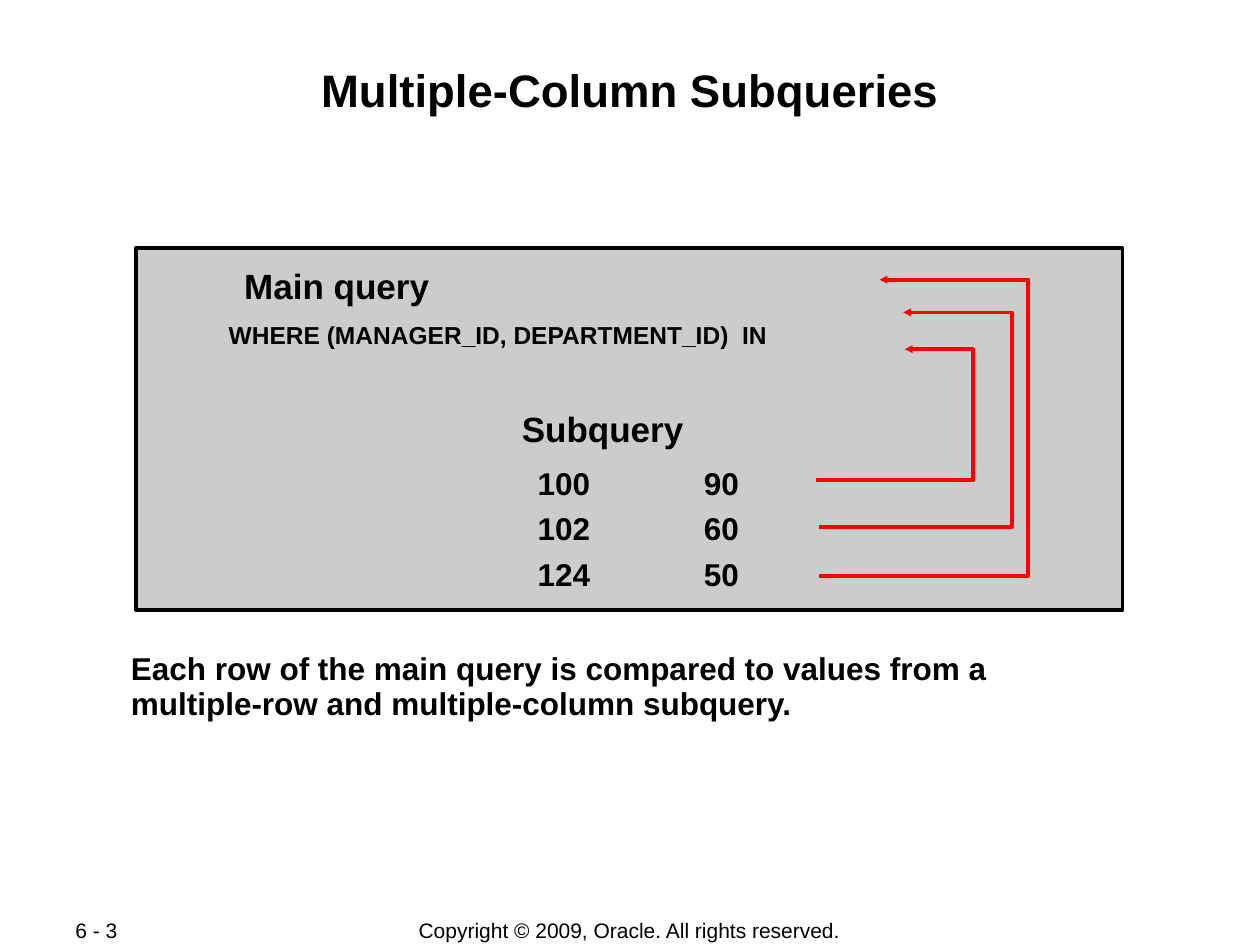
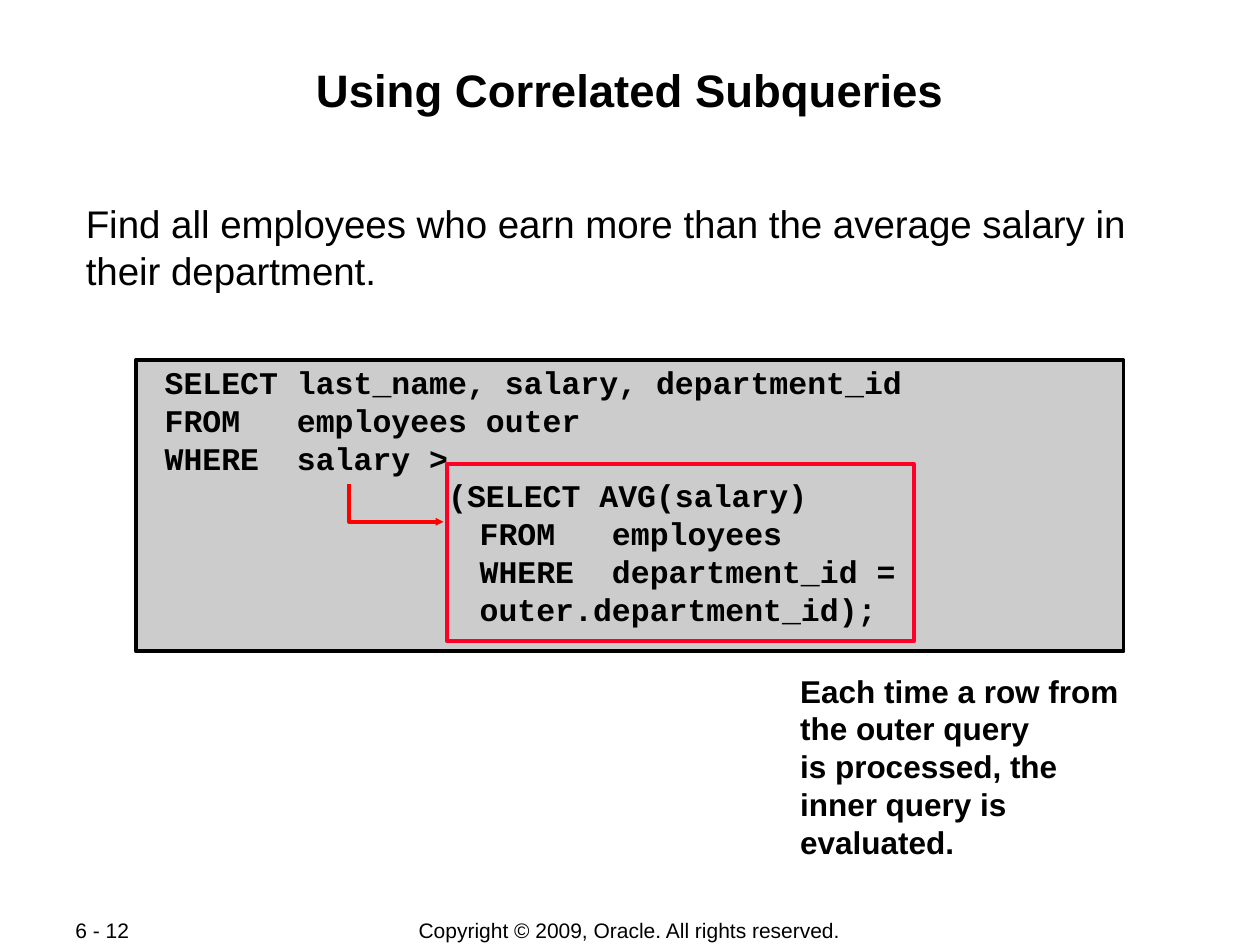
"""Build two slides on multiple-column and correlated subqueries."""
from lxml.etree import SubElement
from pptx import Presentation
from pptx.dml.color import RGBColor
from pptx.enum.shapes import MSO_SHAPE
from pptx.enum.text import MSO_ANCHOR, MSO_AUTO_SIZE, PP_ALIGN
from pptx.oxml.ns import qn
from pptx.util import Cm, Pt

BLACK, GREY, RED, CRIMSON = "000000", "CCCCCC", "FF0000", "FC0128"
SANS, MONO = "Arial", "Courier New"
TITLE_BOX = (1.7, 1.22, 22, 2.44)
PAGE_BOX = (1.27, 18.49, 2.69, 0.52)
COPYRIGHT_BOX = (6.99, 18.49, 11.4, 0.52)
COPYRIGHT = "Copyright © 2009, Oracle. All rights reserved."

LABELS = [
    ("Main query", (4.67, 5.03, 4.24, 1.27), 20),
    ("WHERE (MANAGER_ID, DEPARTMENT_ID)  IN", (4.34, 6.2, 11.4, 0.97), 14),
    ("Subquery", (10.26, 7.92, 3.78, 1.27), 20),
]
ROWS = [("100", "90"), ("102", "60"), ("124", "50")]
ROW_TAB = 3.35
COMPARISON = ("Each row of the main query is compared to values from a "
              "multiple-row and multiple-column subquery.")
# start x, row y, bend x, target y, target x
RETURN_ARROWS = [
    (16.46, 9.68, 19.61, 7.04, 18.24),
    (16.51, 10.62, 20.4, 6.3, 18.21),
    (16.51, 11.61, 20.73, 5.64, 17.73),
]

TASK = "Find all employees who earn more than the average salary in their department."
OUTER_QUERY = [
    "SELECT last_name, salary, department_id",
    "FROM   employees outer",
    "WHERE  salary >",
    "               (SELECT AVG(salary)",
]
INNER_QUERY = [
    "          FROM   employees",
    "          WHERE  department_id =",
    "          outer.department_id);",
]
INNER_INDENT = 2.54
EVALUATION = ["Each time a row from\vthe outer query", "is processed, the",
              "inner query is", "evaluated."]
INNER_ARROW = [(7.04, 9.75), (7.04, 10.52), (8.94, 10.52)]


def color(value):
    """Turn a hex string into a colour."""
    return RGBColor.from_string(value)


def place(shape, box):
    """Move and size a shape by a box in centimetres."""
    shape.left, shape.top, shape.width, shape.height = map(Cm, box)


def write(shape, lines, size, bold=False, font=SANS, align=PP_ALIGN.LEFT,
          spacing=None, insets=(0.25, 0.13), wrap=True, tab=None):
    """Fill a shape with evenly formatted paragraphs and return them."""
    frame = shape.text_frame
    frame.text = "\n".join(lines)
    frame.word_wrap = wrap
    frame.auto_size = MSO_AUTO_SIZE.NONE
    frame.vertical_anchor = MSO_ANCHOR.TOP
    frame.margin_left = frame.margin_right = Cm(insets[0])
    frame.margin_top = frame.margin_bottom = Cm(insets[1])
    for paragraph in frame.paragraphs:
        paragraph.alignment = align
        if spacing:
            paragraph.line_spacing = spacing
        if tab:
            tabs = SubElement(paragraph._p.get_or_add_pPr(), qn("a:tabLst"))
            SubElement(tabs, qn("a:tab"), pos=str(Cm(tab)), algn="l")
        paragraph.font.name = font
        paragraph.font.size = Pt(size)
        paragraph.font.bold = bold
        paragraph.font.color.rgb = color(BLACK)
    return frame.paragraphs


def add_text(slide, box, lines, size, **style):
    """Add a text box and return its shape."""
    shape = slide.shapes.add_textbox(*map(Cm, box))
    write(shape, lines, size, **style)
    return shape


def add_rectangle(slide, box, line, fill=None):
    """Add an outlined rectangle, filled if a fill is given."""
    shape = slide.shapes.add_shape(MSO_SHAPE.RECTANGLE, *map(Cm, box))
    shape.shadow.inherit = False
    if fill:
        shape.fill.solid()
        shape.fill.fore_color.rgb = color(fill)
    else:
        shape.fill.background()
    shape.line.color.rgb = color(line)
    shape.line.width = Pt(2.25)


def add_bent_arrow(slide, points):
    """Draw a red open path that ends in a small arrowhead."""
    start, *others = [(Cm(x), Cm(y)) for x, y in points]
    builder = slide.shapes.build_freeform(*start)
    builder.add_line_segments(others, close=False)
    shape = builder.convert_to_shape()
    shape.shadow.inherit = False
    shape.fill.background()
    shape.line.color.rgb = color(RED)
    shape.line.width = Pt(2.25)
    outline = shape.line._get_or_add_ln()
    SubElement(outline, qn("a:round"))
    SubElement(outline, qn("a:tailEnd"), type="triangle", w="sm", len="sm")


def add_slide(presentation, title, page):
    """Add a slide with its title and footers."""
    slide = presentation.slides.add_slide(presentation.slide_layouts[5])
    place(slide.shapes.title, TITLE_BOX)
    write(slide.shapes.title, [title], 26, bold=True, align=PP_ALIGN.CENTER,
          insets=(0.03, 0.03))
    for box, text, align in ((COPYRIGHT_BOX, COPYRIGHT, PP_ALIGN.CENTER),
                             (PAGE_BOX, page, PP_ALIGN.LEFT)):
        footer = add_text(slide, box, [text], 12, align=align, insets=(0.25, 0))
        footer.text_frame.vertical_anchor = MSO_ANCHOR.MIDDLE
    return slide


def build_multiple_column(presentation):
    """Build the slide that compares query rows with subquery values."""
    slide = add_slide(presentation, "Multiple-Column Subqueries", "6 - 3")
    add_rectangle(slide, (2.74, 5, 19.89, 7.29), BLACK, GREY)
    for text, box, size in LABELS:
        add_text(slide, box, [text], size, bold=True, align=PP_ALIGN.CENTER,
                 spacing=1.2, wrap=False)
    add_text(slide, (10.59, 9.07, 6.38, 3), ["\t".join(row) for row in ROWS], 18,
             bold=True, spacing=1.2, tab=ROW_TAB)
    for start_x, row_y, bend_x, target_y, target_x in RETURN_ARROWS:
        add_bent_arrow(slide, [(start_x, row_y), (bend_x, row_y),
                               (bend_x, target_y), (target_x, target_y)])
    add_text(slide, (2.39, 13, 20.52, 1.7), [COMPARISON], 18, bold=True, spacing=0.95)


def build_correlated(presentation):
    """Build the slide that shows a correlated subquery."""
    slide = add_slide(presentation, "Using Correlated Subqueries", "6 - 12")
    add_rectangle(slide, (2.74, 7.26, 19.91, 5.87), BLACK, GREY)
    code = add_text(slide, (3.07, 7.19, 21.11, 5.59), OUTER_QUERY + INNER_QUERY, 18,
                    bold=True, font=MONO)
    for paragraph in code.text_frame.paragraphs[len(OUTER_QUERY):]:
        paragraph._p.get_or_add_pPr().set("marL", str(Cm(INNER_INDENT)))
    add_text(slide, (1.7, 4.01, 22, 1.93), [TASK], 22, insets=(0.03, 0.03))
    add_text(slide, (15.88, 13.41, 7.11, 4.06), EVALUATION, 18, bold=True)
    add_bent_arrow(slide, INNER_ARROW)
    add_rectangle(slide, (9.02, 9.35, 9.4, 3.58), CRIMSON)


def main():
    """Build and save the presentation."""
    presentation = Presentation()
    presentation.slide_width, presentation.slide_height = Cm(25.4), Cm(19.05)
    build_multiple_column(presentation)
    build_correlated(presentation)
    presentation.save("out.pptx")


if __name__ == "__main__":
    main()
